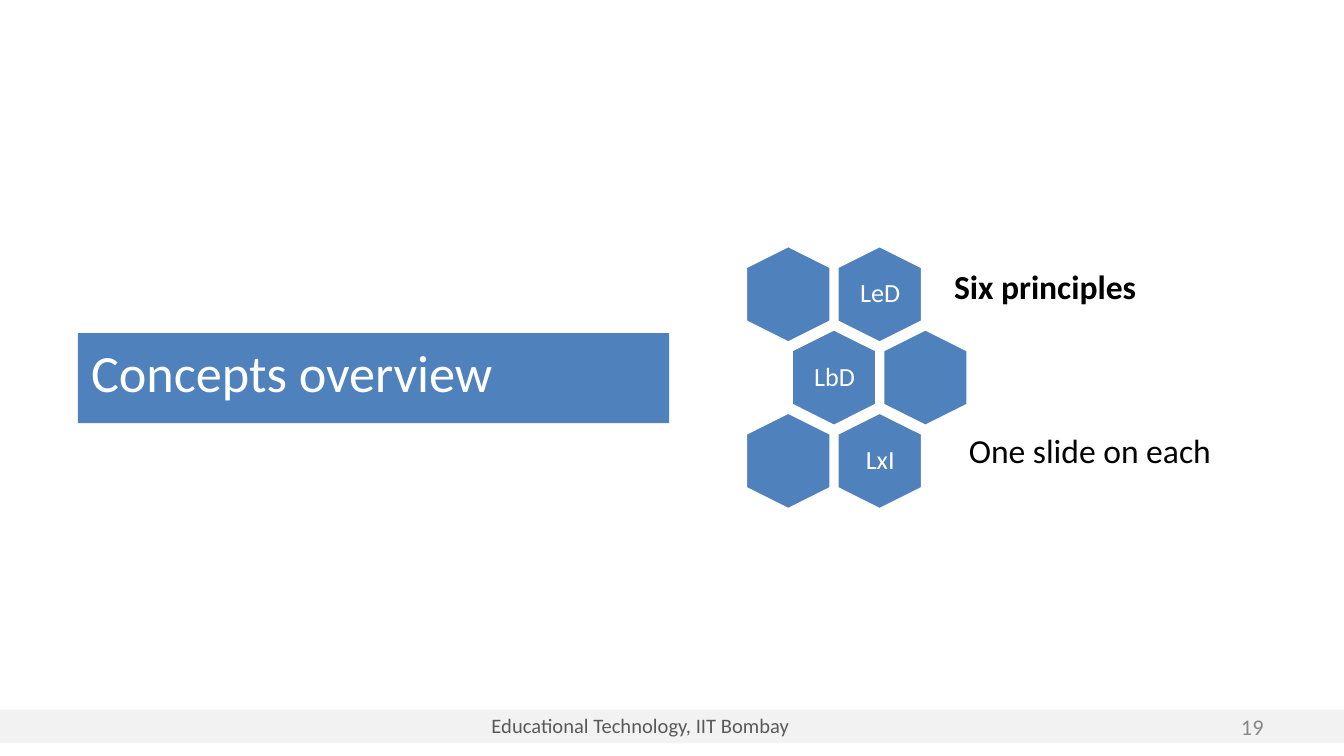
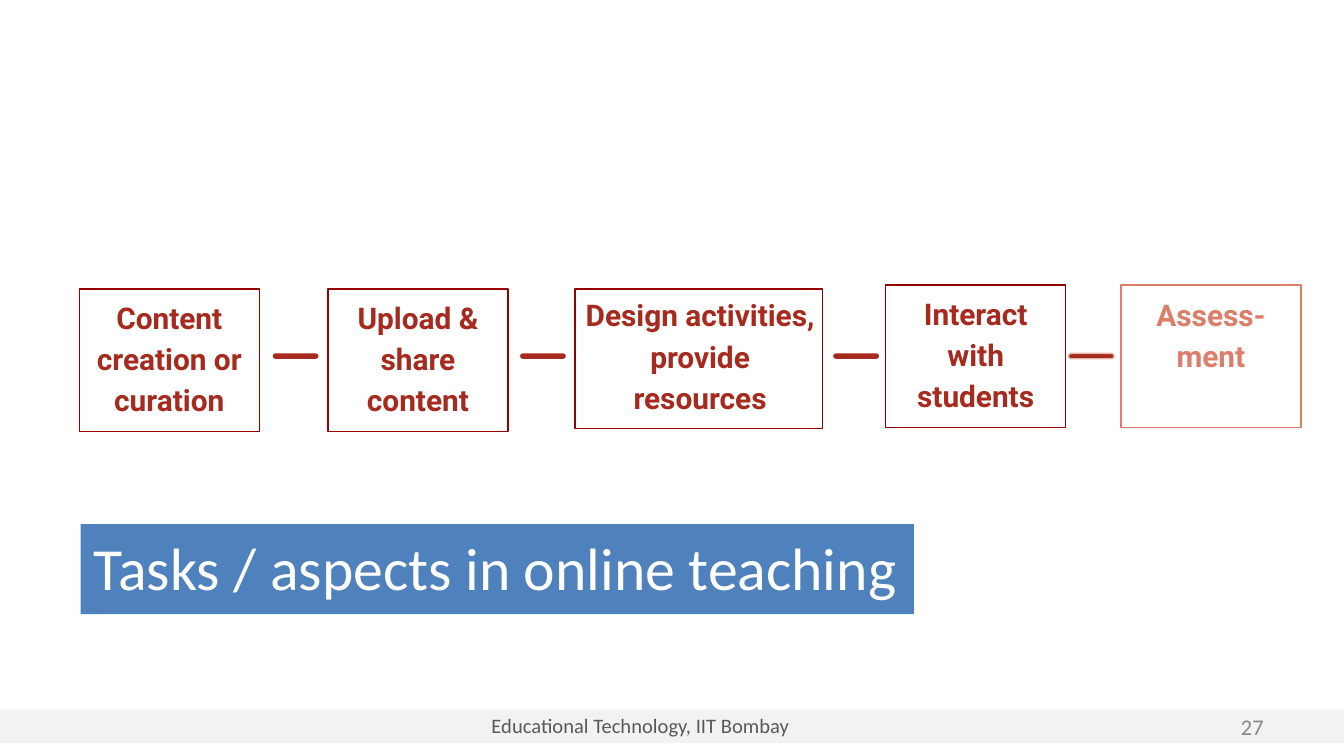
import dataclasses

import pptx
import pptx.dml.color
import pptx.enum.shapes
import pptx.enum.text
import pptx.util

Inches = pptx.util.Inches
Shapes = pptx.enum.shapes.MSO_SHAPE
Align = pptx.enum.text.PP_ALIGN
Anchor = pptx.enum.text.MSO_ANCHOR


@dataclasses.dataclass(frozen=True)
class Theme:
    body_font: str = "Calibri"
    task_font: str = "Roboto"
    blue: str = "4F81BD"
    white: str = "FFFFFF"
    black: str = "000000"
    band: str = "F2F2F2"
    footer: str = "595959"
    number: str = "888888"
    red: str = "A72A1E"
    border: str = "980000"
    faded: str = "DD7E6B"
    faded_line: str = "E6B8AF"
    footer_size: float = 11
    number_size: float = 12
    hexagon_size: float = 14
    task_size: float = 16
    label_size: float = 18


theme = Theme()


def add_box(slide, kind, at, fill=None, line=None, line_width=0.75):
    shape = slide.shapes.add_shape(kind, *[Inches(length) for length in at])
    shape.shadow.inherit = False
    if fill:
        shape.fill.solid()
        shape.fill.fore_color.rgb = pptx.dml.color.RGBColor.from_string(fill)
    else:
        shape.fill.background()
    if line:
        shape.line.color.rgb = pptx.dml.color.RGBColor.from_string(line)
        shape.line.width = pptx.util.Pt(line_width)
    else:
        shape.line.fill.background()
    return shape


def add_text(slide, text, size, color, at=None, shape=None, font=theme.body_font, bold=False,
             align=Align.LEFT, anchor=Anchor.TOP, insets=(0.1, 0.05, 0.1, 0.05), spacing=None):
    if shape is None:
        shape = slide.shapes.add_textbox(*[Inches(length) for length in at])
    frame = shape.text_frame
    frame.word_wrap = True
    frame.vertical_anchor = anchor
    frame.margin_left, frame.margin_top, frame.margin_right, frame.margin_bottom = [
        Inches(inset) for inset in insets]
    for index, line in enumerate(text.split("\n")):
        paragraph = frame.add_paragraph() if index else frame.paragraphs[0]
        paragraph.alignment = align
        if spacing:
            paragraph.line_spacing = spacing
        run = paragraph.add_run()
        run.text = line
        run.font.name = font
        run.font.size = pptx.util.Pt(size)
        run.font.bold = bold
        run.font.color.rgb = pptx.dml.color.RGBColor.from_string(color)


presentation = pptx.Presentation()
presentation.slide_width = Inches(10)
presentation.slide_height = Inches(10) * 9 // 16

pages = [
    ("Concepts overview", 28, (0.58, 2.48, 4.4, 0.67), "19"),
    ("Tasks / aspects in online teaching", 32, (0.6, 3.9, 6.2, 0.67), "27"),
]
slides = []
for title, title_size, title_at, number in pages:
    slide = presentation.slides.add_slide(presentation.slide_layouts[6])
    add_box(slide, Shapes.RECTANGLE, (0, 5.28, 10, 0.25), theme.band)
    add_text(slide, "Educational Technology, IIT Bombay", theme.footer_size, theme.footer,
             at=(2.42, 5.26, 4.69, 0.24), align=Align.CENTER)
    title_box = add_box(slide, Shapes.RECTANGLE, title_at, theme.blue)
    add_text(slide, title, title_size, theme.white, shape=title_box)
    add_text(slide, number, theme.number_size, theme.number, at=(8.88, 5.26, 0.62, 0.3),
             align=Align.RIGHT, anchor=Anchor.MIDDLE)
    slides.append(slide)
concepts, tasks = slides

hexagon_rows = [(5.5, ["", "LeD"]), (5.84, ["LbD", ""]), (5.5, ["", "LxI"])]
for row, (row_left, names) in enumerate(hexagon_rows):
    for column, name in enumerate(names):
        left = row_left + 0.68 * column
        top = 1.87 + 0.62 * row
        hexagon = add_box(concepts, Shapes.HEXAGON, (left, top, 0.73, 0.64),
                          theme.blue, theme.white, 2)
        hexagon.adjustments[0] = 0.25
        hexagon.rotation = 90
        if name:
            add_text(concepts, name, theme.hexagon_size, theme.white,
                     at=(left + 0.15, top + 0.07, 0.44, 0.5), align=Align.CENTER,
                     anchor=Anchor.MIDDLE, insets=(0.06,) * 4, spacing=0.9)

add_text(concepts, "Six principles", theme.label_size, theme.black,
         at=(7, 1.93, 1.58, 0.4), bold=True)
add_text(concepts, "One slide on each", theme.label_size, theme.black,
         at=(7.11, 3.15, 2.08, 0.4))

even = (0.1, 0.1, 0.1, 0.1)
task_boxes = [
    ("Content creation or curation", (0.59, 2.15, 1.34, 1.06), even, theme.red, theme.border),
    ("Upload & share content", (2.44, 2.15, 1.34, 1.06), even, theme.red, theme.border),
    ("Design activities, provide\nresources", (4.28, 2.15, 1.84, 1.04),
     (0.04, 0.1, 0.02, 0.1), theme.red, theme.border),
    ("Interact with students", (6.59, 2.12, 1.34, 1.06), even, theme.red, theme.border),
    ("Assess- ment", (8.34, 2.12, 1.34, 1.06), (0.1, 0.1, 0.1, 0.4), theme.faded, theme.faded),
]
for text, at, insets, color, border in task_boxes:
    task_box = add_box(tasks, Shapes.RECTANGLE, at, line=border)
    add_text(tasks, text, theme.task_size, color, shape=task_box, font=theme.task_font,
             bold=True, align=Align.CENTER, anchor=Anchor.BOTTOM, insets=insets, spacing=1.15)

for left, outline in [(2.03, None), (3.87, None), (6.2, None), (7.95, theme.faded_line)]:
    dash = add_box(tasks, Shapes.ROUNDED_RECTANGLE, (left, 2.63, 0.34, 0.04), theme.red, outline)
    dash.adjustments[0] = 0.5

presentation.save("out.pptx")
